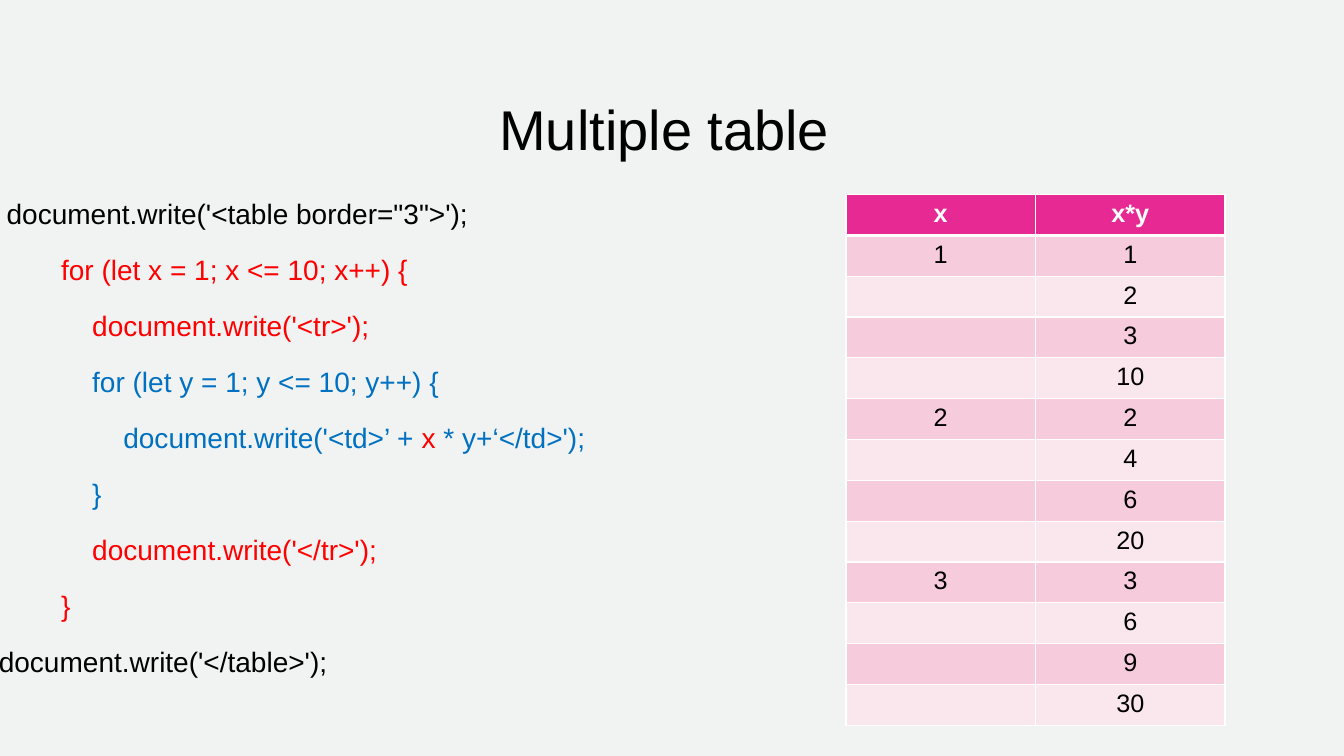
from dataclasses import dataclass

from lxml.etree import SubElement
from pptx import Presentation
from pptx.dml.color import RGBColor
from pptx.enum.text import MSO_ANCHOR, MSO_AUTO_SIZE, PP_ALIGN
from pptx.oxml.ns import qn
from pptx.util import Inches, Pt


@dataclass(frozen=True)
class Theme:
    """Colours, font and type sizes of the slide."""
    font: str = "Arial"
    title: int = 40
    code: int = 20
    cell: int = 18
    background: str = "F0F3F2"
    ink: str = "000000"
    outer: str = "FF0000"
    inner: str = "0070C0"
    white: str = "FFFFFF"
    header: str = "E72994"
    bands: tuple = ("F6CBDC", "FAE7EE")


T = Theme()
SPACE = 0.0772

CODE = [
    (1, [("document.write('<table border=\"3\">');", T.ink)]),
    (8, [("for (let x = 1; x <= 10; x++) {", T.outer)]),
    (12, [("document.write('<tr>');", T.outer)]),
    (12, [("for (let y = 1; y <= 10; y++) {", T.inner)]),
    (16, [("document.write('<td>’ + ", T.inner), ("x", T.outer),
          (" * y+‘</td>');", T.inner)]),
    (12, [("}", T.inner)]),
    (12, [("document.write('</tr>');", T.outer)]),
    (8, [("}", T.outer)]),
    (0, [("document.write('</table>');", T.ink)]),
]

ROWS = [
    ("x", "x*y"),
    ("1", "1"), ("", "2"), ("", "3"), ("", "10"),
    ("2", "2"), ("", "4"), ("", "6"), ("", "20"),
    ("3", "3"), ("", "6"), ("", "9"), ("", "30"),
]


def add_text(p, text, size, color=T.ink, bold=False, align=None):
    """Append a formatted run to a paragraph."""
    if align is not None:
        p.alignment = align
    r = p.add_run()
    r.text = text
    r.font.name = T.font
    r.font.size = Pt(size)
    r.font.bold = bold
    r.font.color.rgb = RGBColor.from_string(color)


def set_title(s, text):
    """Place and format the title placeholder."""
    sp = s.shapes.title
    sp.left, sp.top = Inches(1.08), Inches(0.43)
    sp.width, sp.height = Inches(11.17), Inches(1.22)
    tf = sp.text_frame
    tf.auto_size = MSO_AUTO_SIZE.NONE
    tf.vertical_anchor = MSO_ANCHOR.BOTTOM
    p = tf.paragraphs[0]
    p.line_spacing = 1.1
    add_text(p, text, T.title, align=PP_ALIGN.CENTER)


def add_code(s, lines):
    """Add the code listing, indented by paragraph margins."""
    sp = s.shapes.add_textbox(Inches(-0.11), Inches(1.82), Inches(6.46), Inches(4.42))
    tf = sp.text_frame
    tf.word_wrap = True
    for i, (indent, runs) in enumerate(lines):
        p = tf.add_paragraph() if i else tf.paragraphs[0]
        p.line_spacing = 1.25
        p.space_before = Pt(10 if i else 0)
        pPr = p._p.get_or_add_pPr()
        pPr.set("marL", str(Inches(indent * SPACE)))
        pPr.set("indent", "0")
        for text, color in runs:
            add_text(p, text, T.code, color)


def set_borders(cell, top, bottom):
    """Draw white cell borders with the given top and bottom widths."""
    tcPr = cell._tc.get_or_add_tcPr()
    widths = {"lnL": 1, "lnR": 1, "lnT": top, "lnB": bottom}
    for i, (tag, width) in enumerate(widths.items()):
        ln = SubElement(tcPr, qn(f"a:{tag}"), w=str(Pt(width)))
        fill = SubElement(ln, qn("a:solidFill"))
        SubElement(fill, qn("a:srgbClr"), val=T.white)
        tcPr.insert(i, ln)


def add_products(s, rows):
    """Add the banded table of products."""
    frame = s.shapes.add_table(len(rows), 2, Inches(8.39), Inches(1.93),
                               Inches(3.76), Inches(5.27))
    table = frame.table
    for i, row in enumerate(rows):
        head = i == 0
        for j, text in enumerate(row):
            cell = table.cell(i, j)
            cell.fill.solid()
            color = T.header if head else T.bands[(i - 1) % 2]
            cell.fill.fore_color.rgb = RGBColor.from_string(color)
            set_borders(cell, 3 if i == 1 else 1, 3 if head else 1)
            if text:
                add_text(cell.text_frame.paragraphs[0], text, T.cell,
                         T.white if head else T.ink, head, PP_ALIGN.CENTER)


def main():
    """Build and save the slide."""
    prs = Presentation()
    prs.slide_width, prs.slide_height = Inches(13.33), Inches(7.5)
    s = prs.slides.add_slide(prs.slide_layouts[5])
    s.background.fill.solid()
    s.background.fill.fore_color.rgb = RGBColor.from_string(T.background)
    set_title(s, "Multiple table ")
    add_code(s, CODE)
    add_products(s, ROWS)
    prs.save("out.pptx")


if __name__ == "__main__":
    main()
